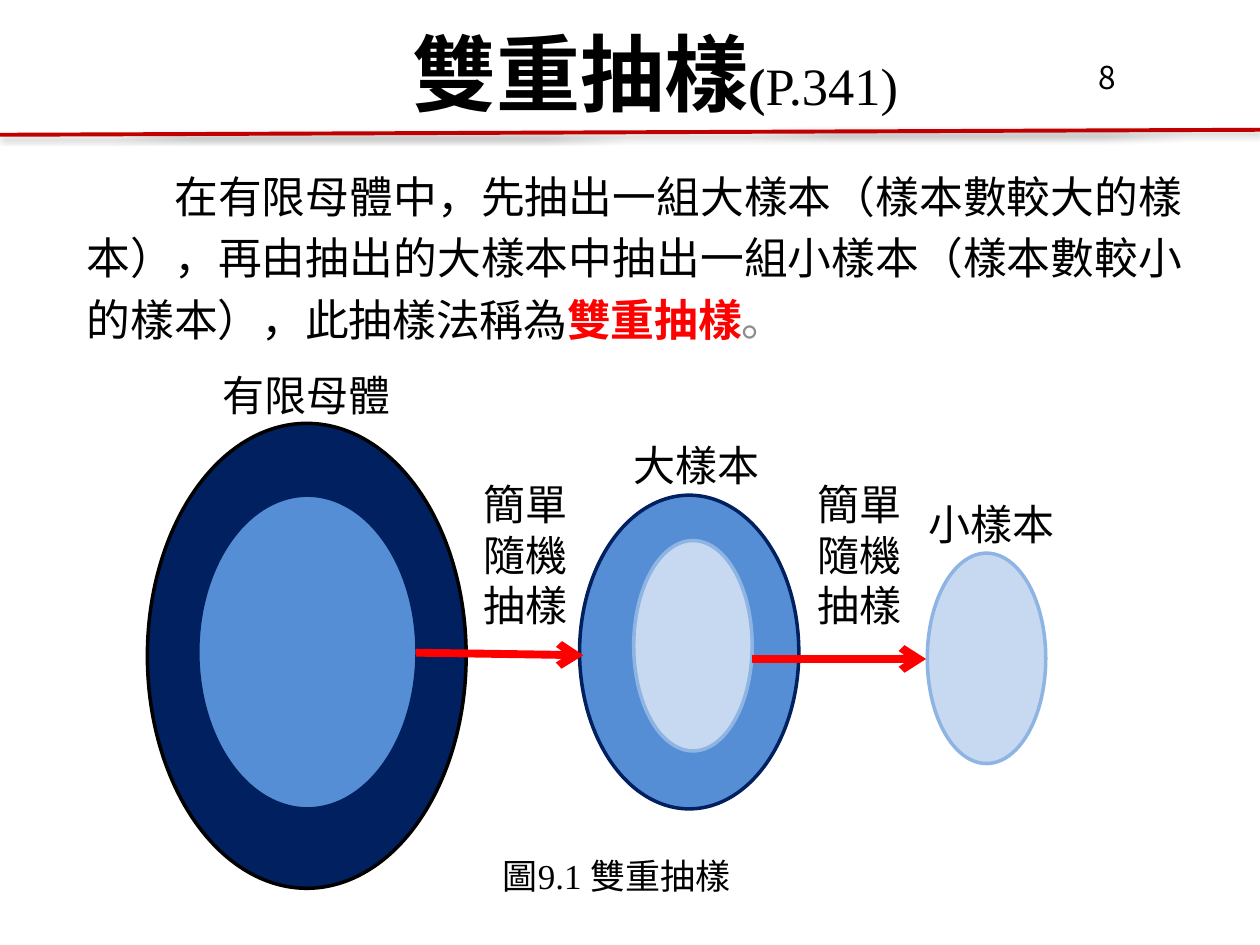
from dataclasses import dataclass

from lxml import etree
from pptx import Presentation
from pptx import util as u
from pptx.dml import color
from pptx.enum import shapes, text
from pptx.oxml import ns


@dataclass(frozen=True)
class Theme:
    """Colours, fonts and type sizes of the slide."""
    ink: str = "000000"
    gray: str = "8C8C8C"
    red: str = "FF0000"
    rule: str = "C00000"
    navy: str = "002060"
    blue: str = "558ED5"
    pale: str = "C6D9F1"
    edge: str = "8EB4E3"
    sans: str = "Noto Sans CJK SC"
    serif: str = "Times New Roman"
    title: int = 48
    page: int = 30
    body: int = 25
    label: int = 24
    note: int = 20
    small: int = 18


def rgb(code):
    """Turn a hex code into a colour."""
    return color.RGBColor.from_string(code)


def add(node, tag, **attrs):
    """Append a drawing element to a node."""
    return etree.SubElement(node, ns.qn(tag), attrs)


class Board:
    """Draws on one slide with a grid of 100 columns by 75 rows."""

    def __init__(self, deck, theme):
        self.theme = theme
        self.slide = deck.slides.add_slide(deck.slide_layouts[6])
        self.cell = deck.slide_width / 100

    def grid(self, *cells):
        """Convert grid cells to lengths."""
        return [u.Emu(round(n * self.cell)) for n in cells]

    def oval(self, box, fill, line):
        """Draw an ellipse."""
        oval = self.slide.shapes.add_shape(
            shapes.MSO_SHAPE.OVAL, *self.grid(*box))
        oval.shadow.inherit = False
        oval.fill.solid()
        oval.fill.fore_color.rgb = rgb(fill)
        oval.line.color.rgb = rgb(line)
        oval.line.width = u.Pt(2)

    def line(self, ends, tint, width, head=False, shade=False):
        """Draw a line, with an arrowhead or a soft shadow if asked."""
        link = self.slide.shapes.add_connector(
            shapes.MSO_CONNECTOR.STRAIGHT, *self.grid(*ends))
        link.line.color.rgb = rgb(tint)
        link.line.width = u.Pt(width)
        if head:
            add(link.line._get_or_add_ln(), "a:tailEnd", type="arrow")
        effect = add(link._element.spPr, "a:effectLst")
        if shade:
            cast = add(effect, "a:outerShdw", blurRad=str(u.Pt(3.1)),
                       dist=str(u.Pt(1.8)), dir="5400000", rotWithShape="0")
            tone = add(cast, "a:srgbClr", val=self.theme.ink)
            add(tone, "a:alpha", val="35000")

    def words(self, box, runs, font, align=text.PP_ALIGN.CENTER):
        """Write one paragraph of (text, size, colour, bold) runs."""
        frame = self.slide.shapes.add_textbox(*self.grid(*box)).text_frame
        frame.word_wrap = True
        para = frame.paragraphs[0]
        para.alignment = align
        for part, size, tint, bold in runs:
            run = para.add_run()
            run.text = part
            run.font.size = u.Pt(size)
            run.font.bold = bold
            run.font.color.rgb = rgb(tint)
            run.font.name = font
            add(run._r.get_or_add_rPr(), "a:ea", typeface=self.theme.sans)
        return para

    def label(self, box, part):
        """Write a centred diagram label."""
        self.words(box, [(part, self.theme.label, self.theme.ink, False)],
                   self.theme.sans)


def main():
    """Build the double sampling slide."""
    deck = Presentation()
    deck.slide_width, deck.slide_height = u.Inches(10), u.Inches(7.5)
    look = Theme()
    board = Board(deck, look)

    body = board.words((5.9, 12.3, 89, 19.2), [
        ("在有限母體中，先抽出一組大樣本（樣本數較大的樣本），再由抽出的大樣本中"
         "抽出一組小樣本（樣本數較小的樣本），此抽樣法稱為",
         look.body, look.ink, False),
        ("雙重抽樣", look.body, look.red, True),
        ("。", look.body, look.gray, False),
    ], look.sans, text.PP_ALIGN.JUSTIFY)
    body.line_spacing = u.Pt(35)
    body._p.get_or_add_pPr().set("indent", str(u.Pt(2 * look.body)))

    board.line((0, 10.7, 100, 10.3), look.rule, 2.25, shade=True)
    board.words((19.3, 1.2, 65.4, 17.2), [
        ("雙重抽樣", look.title, look.ink, True),
        ("(", look.page, look.ink, True),
        ("P.341)", look.page, look.ink, False),
    ], look.serif)

    big, small = (17.4, 24.9), (9.4, 16.7)
    for box, fill, edge in (
            ((11.7, 33.6, 25.3, 36.9), look.navy, look.ink),
            ((15.7, 39.3, *big), look.blue, look.navy),
            ((46, 39.3, *big), look.blue, look.navy),
            ((50.3, 42.9, *small), look.pale, look.edge),
            ((73.6, 43.9, *small), look.pale, look.edge)):
        board.oval(box, fill, edge)
    for ends in (33, 51.8, 46.3, 52), (59.7, 52.3, 73.5, 52.3):
        board.line(ends, look.red, 4.5, head=True)

    for left, top, part in ((15.9, 28.8, "有限母體"), (46.8, 34.4, "大樣本"),
                            (70.2, 39.1, "小樣本")):
        board.label((left, top, 16.9, 7.3), part)
    for left in 37.1, 63.6:
        board.label((left, 37.5, 9.2, 13), "簡單隨機抽樣")

    board.words((32.8, 67.3, 32.3, 4.4),
                [("圖9.1 雙重抽樣", look.note, look.ink, False)], look.serif)
    board.words((86.2, 4.1, 12, 4),
                [("8", look.small, look.ink, False)], look.sans,
                text.PP_ALIGN.LEFT)
    deck.save("out.pptx")


if __name__ == "__main__":
    main()
